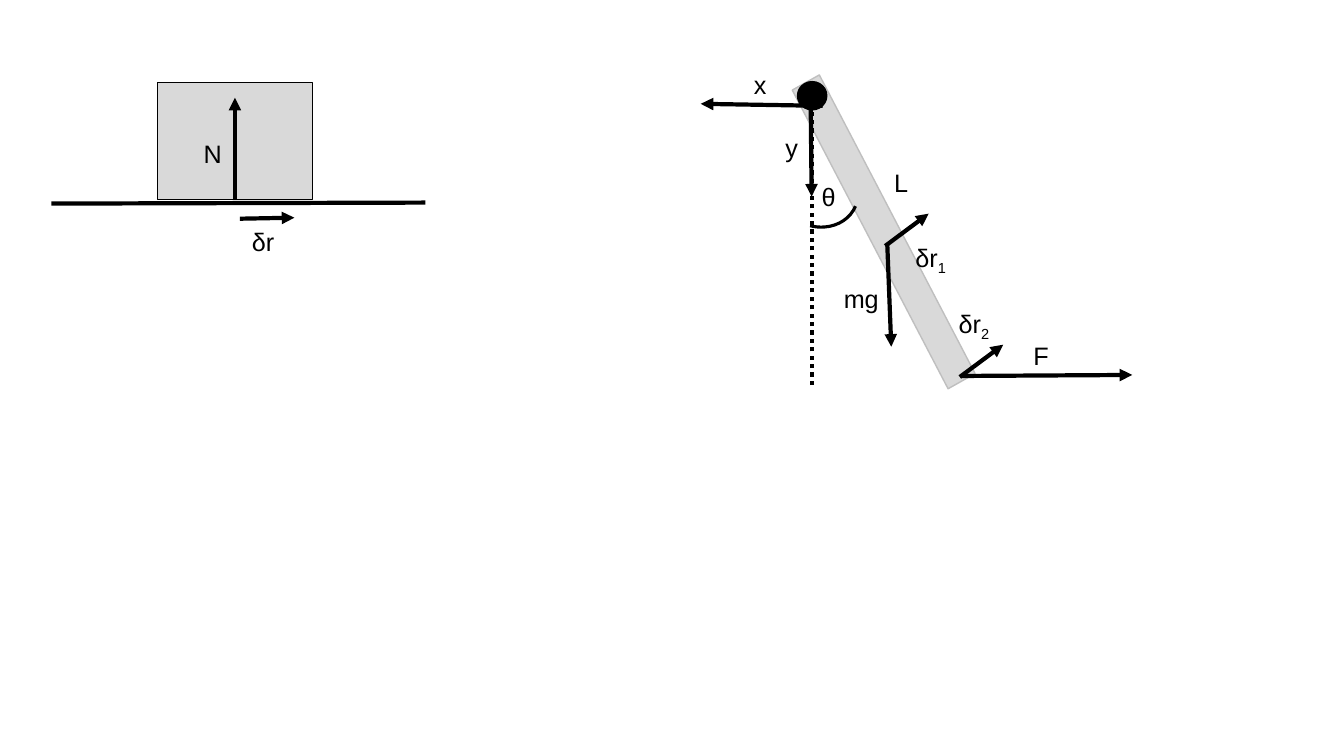
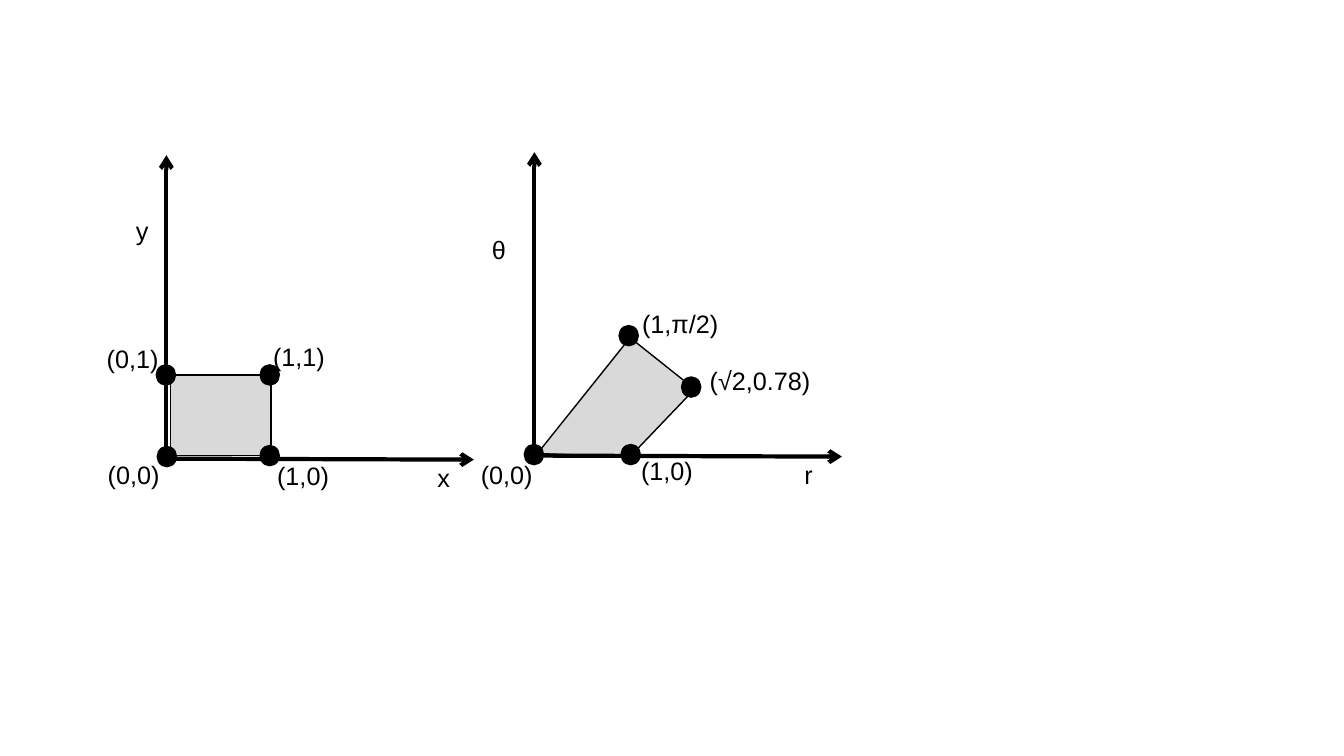
from dataclasses import dataclass

from lxml.etree import SubElement
from pptx import Presentation
from pptx.dml.color import RGBColor
from pptx.enum.dml import MSO_LINE
from pptx.enum.shapes import MSO_CONNECTOR, MSO_SHAPE
from pptx.enum.text import MSO_AUTO_SIZE
from pptx.oxml.ns import qn
from pptx.util import Inches, Pt

COLORS = {"ink": "000000", "body": "D9D9D9", "edge": "BFBFBF"}
FONT = "Arial"
TEXT_SIZE = 18
LABEL_HEIGHT = 0.4
HEAVY, THIN = 3, 1
DOT_W, DOT_H = 0.19, 0.2
AXIS_X, AXIS_Y, AXIS_DRIFT = 3.05, 3.01, 0.01


@dataclass(frozen=True)
class Label:
    text: str
    x: float
    y: float
    w: float
    sub: str = ""


@dataclass(frozen=True)
class Segment:
    x1: float
    y1: float
    x2: float
    y2: float
    tip: str = "triangle"
    dash: MSO_LINE | None = None


@dataclass(frozen=True)
class Point:
    x: float
    y: float
    label: Label


@dataclass(frozen=True)
class Axes:
    x: float
    y: float
    names: tuple[Label, Label]


BLOCK_LINES = [
    Segment(2.33, 1.98, 2.33, 0.97),
    Segment(2.38, 2.17, 2.92, 2.16),
]
BLOCK_LABELS = [Label("N", 1.92, 1.32, 0.38), Label("δr", 2.4, 2.2, 0.43)]

ROD_LINES = [
    Segment(8.05, 3.82, 8.05, 0.95, tip="", dash=MSO_LINE.ROUND_DOT),
    Segment(9.53, 3.73, 11.23, 3.72),
    Segment(8.8, 2.42, 8.84, 3.44),
    Segment(8.78, 2.44, 9.21, 2.12),
    Segment(9.52, 3.74, 9.95, 3.42),
    Segment(8.04, 0.96, 8.05, 1.95),
    Segment(8.16, 1.05, 6.95, 1.03),
]
ROD_LABELS = [
    Label("θ", 8.05, 1.75, 0.34),
    Label("F", 10.15, 3.33, 0.36),
    Label("mg", 8.27, 2.76, 0.55),
    Label("L", 8.77, 1.61, 0.34),
    Label("δr", 8.98, 2.35, 0.52, sub="1"),
    Label("δr", 9.41, 3.01, 0.52, sub="2"),
    Label("y", 7.69, 1.26, 0.33),
    Label("x", 7.38, 0.64, 0.33),
]

CARTESIAN = Axes(1.65, 4.55, (Label("x", 4.24, 4.54, 0.33), Label("y", 1.25, 2.09, 0.33)))
POLAR = Axes(5.3, 4.52, (Label("r", 7.88, 4.51, 0.29), Label("θ", 4.78, 2.28, 0.34)))
CARTESIAN_POINTS = [
    Point(2.58, 3.62, Label("(1,1)", 2.61, 3.34, 0.72)),
    Point(2.58, 4.42, Label("(1,0)", 2.65, 4.52, 0.72)),
    Point(1.56, 4.43, Label("(0,0)", 0.97, 4.51, 0.72)),
    Point(1.55, 3.62, Label("(0,1)", 0.96, 3.36, 0.72)),
]
POLAR_POINTS = [
    Point(5.2, 4.41, Label("(0,0)", 4.67, 4.51, 0.72)),
    Point(6.16, 4.41, Label("(1,0)", 6.26, 4.47, 0.72)),
    Point(6.14, 3.23, Label("(1,π/2)", 6.27, 3.01, 0.96)),
    Point(6.76, 3.74, Label("(√2,0.78)", 6.94, 3.58, 1.21)),
]
POLAR_REGION = [(5.33, 4.5), (6.25, 3.35), (6.89, 3.86), (6.25, 4.53)]


def rgb(name: str) -> RGBColor:
    return RGBColor.from_string(COLORS[name])


def style(sp, fill: str | None = "body", line: str = "ink", width: float = THIN) -> None:
    sp.shadow.inherit = False
    if fill:
        sp.fill.solid()
        sp.fill.fore_color.rgb = rgb(fill)
    else:
        sp.fill.background()
    sp.line.color.rgb = rgb(line)
    sp.line.width = Pt(width)


def add_shape(group, kind, x: float, y: float, w: float, h: float, *, rotation: float = 0, **look):
    sp = group.shapes.add_shape(kind, Inches(x), Inches(y), Inches(w), Inches(h))
    sp.rotation = rotation
    style(sp, **look)
    return sp


def add_line(group, seg: Segment) -> None:
    ends = (Inches(v) for v in (seg.x1, seg.y1, seg.x2, seg.y2))
    sp = group.shapes.add_connector(MSO_CONNECTOR.STRAIGHT, *ends)
    sp.line.color.rgb = rgb("ink")
    sp.line.width = Pt(HEAVY)
    if seg.dash:
        sp.line.dash_style = seg.dash
    if seg.tip:
        SubElement(sp.line._get_or_add_ln(), qn("a:tailEnd"), type=seg.tip)
    SubElement(sp._element.spPr, qn("a:effectLst"))


def add_run(p, text: str, *, size: float = TEXT_SIZE, color: str = "ink", baseline: int = 0) -> None:
    r = p.add_run()
    r.text = text
    r.font.name = FONT
    r.font.size = Pt(size)
    r.font.color.rgb = rgb(color)
    if baseline:
        r._r.get_or_add_rPr().set("baseline", str(baseline))


def add_label(group, label: Label) -> None:
    sp = group.shapes.add_textbox(
        Inches(label.x), Inches(label.y), Inches(label.w), Inches(LABEL_HEIGHT)
    )
    tf = sp.text_frame
    tf.word_wrap = False
    tf.auto_size = MSO_AUTO_SIZE.SHAPE_TO_FIT_TEXT
    p = tf.paragraphs[0]
    add_run(p, label.text)
    if label.sub:
        add_run(p, label.sub, baseline=-25000)


def annotate(group, lines: list[Segment], labels: list[Label]) -> None:
    for seg in lines:
        add_line(group, seg)
    for label in labels:
        add_label(group, label)


def add_axes(group, axes: Axes) -> None:
    x, y = axes.x, axes.y
    add_line(group, Segment(x, y, x + AXIS_X, y + AXIS_DRIFT, tip="arrow"))
    add_line(group, Segment(x, y, x, y - AXIS_Y, tip="arrow"))
    for name in axes.names:
        add_label(group, name)


def add_points(group, points: list[Point]) -> None:
    for pt in points:
        add_shape(group, MSO_SHAPE.OVAL, pt.x, pt.y, DOT_W, DOT_H, fill="ink")
        add_label(group, pt.label)


def add_region(group, corners: list[tuple[float, float]]) -> None:
    start, *rest = [(Inches(x), Inches(y)) for x, y in corners]
    builder = group.shapes.build_freeform(*start)
    builder.add_line_segments(rest, close=True)
    style(builder.convert_to_shape())


def draw_block(s) -> None:
    group = s.shapes.add_group_shape()
    add_line(group, Segment(4.22, 2.01, 0.51, 2.02, tip=""))
    add_shape(group, MSO_SHAPE.RECTANGLE, 1.56, 0.82, 1.54, 1.16)
    annotate(group, BLOCK_LINES, BLOCK_LABELS)


def draw_rod(s) -> None:
    group = s.shapes.add_group_shape()
    add_shape(group, MSO_SHAPE.PARALLELOGRAM, 8.56, 0.63, 0.41, 3.34, rotation=330.7, line="edge")
    add_shape(group, MSO_SHAPE.OVAL, 7.91, 0.81, 0.29, 0.28, fill="ink")
    arc = add_shape(
        group, MSO_SHAPE.ARC, 7.75, 1.48, 0.71, 0.82, rotation=112.3, fill=None, width=2.25
    )
    arc.adjustments[0] = 162
    arc.adjustments[1] = 209.39
    annotate(group, ROD_LINES, ROD_LABELS)


def draw_plots(s) -> None:
    group = s.shapes.add_group_shape()
    add_axes(group, CARTESIAN)
    add_shape(group, MSO_SHAPE.RECTANGLE, 1.69, 3.72, 1, 0.8)
    add_points(group, CARTESIAN_POINTS)
    add_region(group, POLAR_REGION)
    add_axes(group, POLAR)
    add_points(group, POLAR_POINTS)


def main() -> None:
    prs = Presentation()
    prs.slide_width, prs.slide_height = Inches(13.33), Inches(7.5)
    blank = prs.slide_layouts[6]
    for drawings in ((draw_block, draw_rod), (draw_plots,)):
        s = prs.slides.add_slide(blank)
        for draw in drawings:
            draw(s)
    prs.save("out.pptx")


if __name__ == "__main__":
    main()
